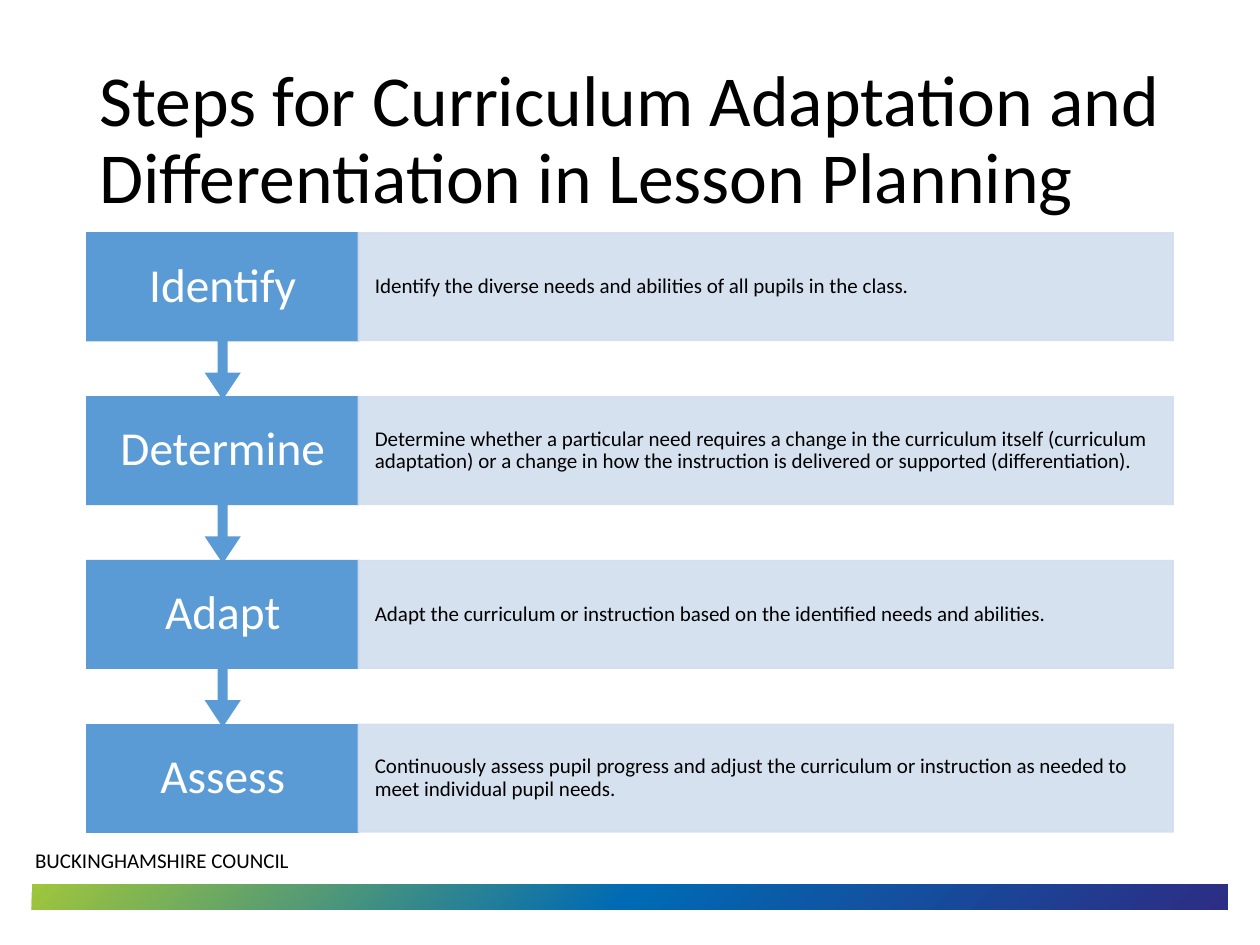
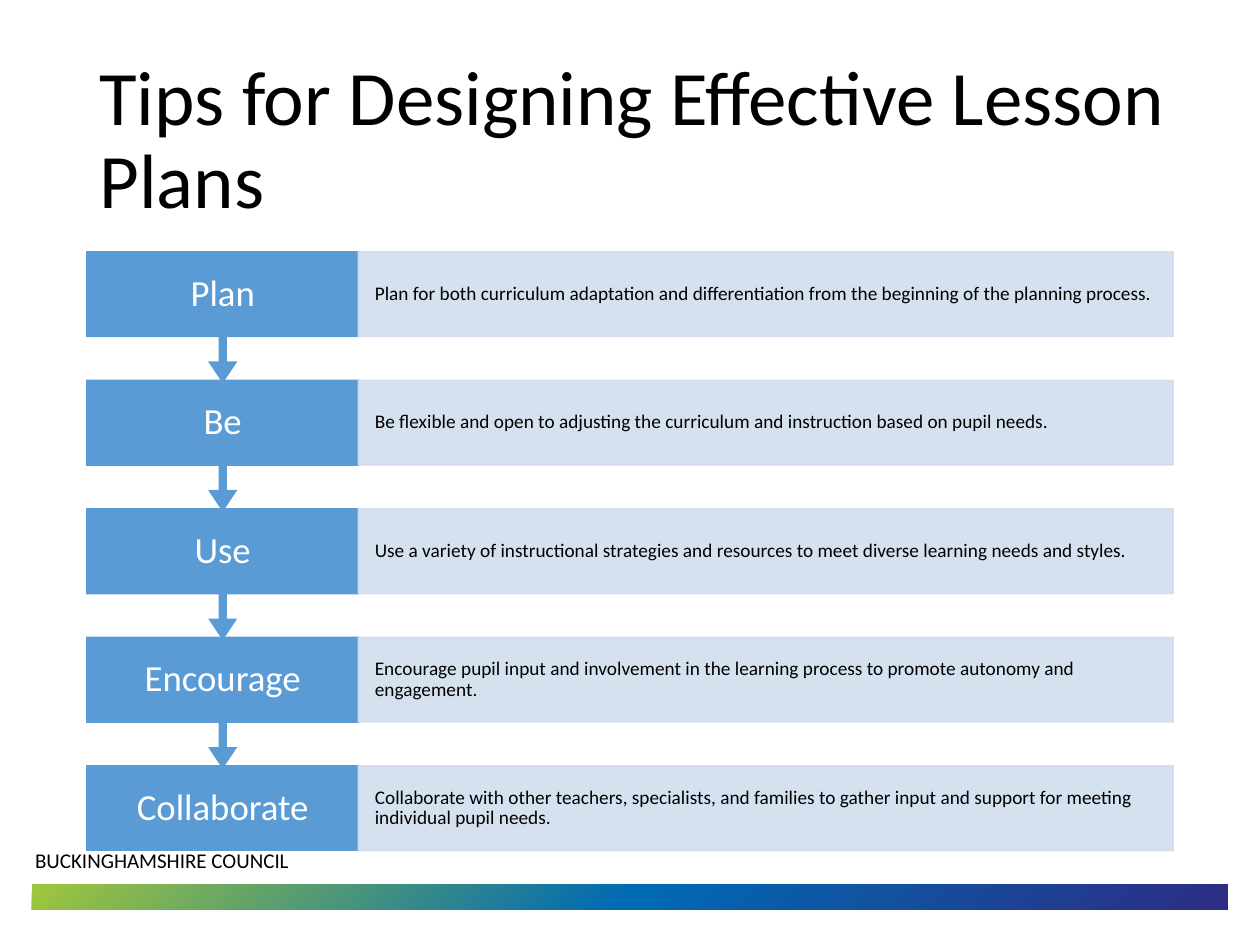
from lxml import etree
from pptx import Presentation
from pptx import oxml, util as u
from pptx.dml.color import RGBColor
from pptx.enum import shapes, text
from pptx.oxml.ns import nsdecls, qn

FONT = "Calibri"
BLACK = RGBColor(0x00, 0x00, 0x00)
WHITE = RGBColor(0xFF, 0xFF, 0xFF)
BLUE = RGBColor(0x5B, 0x9B, 0xD5)
PALE = RGBColor(0xD2, 0xDE, 0xEF)
NAVY = RGBColor(0x2C, 0x2D, 0x84)
MID = RGBColor(0x00, 0x6A, 0xB4)
GREEN = RGBColor(0x9F, 0xC6, 0x3B)

FOOTER = "BUCKINGHAMSHIRE COUNCIL"
SLIDES = [
    dict(
        title="Steps for Curriculum Adaptation and Differentiation in Lesson Planning",
        title_size=41, label_size=27, detail_size=12,
        top=1.85, pitch=1.3, callout=1.31,
        steps=[
            ("Identify", "Identify the diverse needs and abilities of all pupils in the class."),
            ("Determine", "Determine whether a particular need requires a change in the curriculum itself "
             "(curriculum adaptation) or a change in how the instruction is delivered or supported "
             "(differentiation)."),
            ("Adapt", "Adapt the curriculum or instruction based on the identified needs and abilities."),
            ("Assess", "Continuously assess pupil progress and adjust the curriculum or instruction as "
             "needed to meet individual pupil needs."),
        ],
    ),
    dict(
        title="Tips for Designing Effective Lesson Plans",
        title_size=44, label_size=21, detail_size=11,
        top=2, pitch=1.02, callout=1.03,
        steps=[
            ("Plan", "Plan for both curriculum adaptation and differentiation from the beginning of the "
             "planning process."),
            ("Be", "Be flexible and open to adjusting the curriculum and instruction based on pupil needs."),
            ("Use", "Use a variety of instructional strategies and resources to meet diverse learning "
             "needs and styles."),
            ("Encourage", "Encourage pupil input and involvement in the learning process to promote "
             "autonomy and engagement."),
            ("Collaborate", "Collaborate with other teachers, specialists, and families to gather input "
             "and support for meeting individual pupil needs."),
        ],
    ),
]

WIDTH, HEIGHT = 10, 7.5
LEFT = 0.69
CONTENT_W = WIDTH - 2 * LEFT
TITLE_W = CONTENT_W + 0.1
LABEL_W = CONTENT_W / 4
CALLOUT_ADJ = (0.05, 0.1, 0.15, 0.65)
BOX_SHARE = CALLOUT_ADJ[-1]
RECT = shapes.MSO_SHAPE.RECTANGLE
CALLOUT = shapes.MSO_SHAPE.UP_ARROW_CALLOUT
MIDDLE = text.MSO_ANCHOR.MIDDLE
ALIGN = text.PP_ALIGN


def inches(*values):
    return [u.Inches(v) for v in values]


def write(sp, words, size, color=BLACK, align=ALIGN.LEFT, anchor=MIDDLE, spacing=0.9,
          insets=(0.1, 0.05)):
    tf = sp.text_frame
    tf.word_wrap = True
    tf.vertical_anchor = anchor
    tf.margin_left = tf.margin_right = u.Inches(insets[0])
    tf.margin_top = tf.margin_bottom = u.Inches(insets[1])
    tf.text = words
    p = tf.paragraphs[0]
    p.alignment = align
    p.line_spacing = spacing
    p.font.name, p.font.size, p.font.color.rgb = FONT, u.Pt(size), color


def add_box(s, kind, at, color, opacity=None):
    sp = s.shapes.add_shape(kind, *inches(*at))
    sp.shadow.inherit = False
    sp.fill.solid()
    sp.fill.fore_color.rgb = color
    sp.line.color.rgb = color
    sp.line.width = u.Pt(1)
    spPr = sp._element.spPr
    etree.SubElement(spPr.find(qn("a:ln")), qn("a:miter"), lim="800000")
    if opacity:
        for clr in spPr.iter(qn("a:srgbClr")):
            etree.SubElement(clr, qn("a:alpha"), val=str(opacity * 1000))
    return sp


def add_band(s):
    sp = add_box(s, RECT, (0.25, 7.02, 9.49, 0.2), MID)
    sp.line.fill.background()
    stops = "".join(f'<a:gs pos="{pos}000"><a:srgbClr val="{color}"/></a:gs>'
                    for pos, color in ((0, NAVY), (50, MID), (100, GREEN)))
    grad = oxml.parse_xml(
        f'<a:gradFill {nsdecls("a")} rotWithShape="1"><a:gsLst>{stops}</a:gsLst>'
        '<a:path path="circle"><a:fillToRect l="100000" t="100000"/></a:path></a:gradFill>')
    spPr = sp._element.spPr
    spPr.replace(spPr.find(qn("a:solidFill")), grad)
    spPr.find(qn("a:xfrm")).set("flipH", "1")


def add_frame(s, title, size):
    add_band(s)
    write(s.shapes.add_textbox(*inches(0.18, 6.68, 4.81, 0.3)), FOOTER, 12,
          anchor=text.MSO_ANCHOR.TOP, spacing=1.0)
    write(s.shapes.add_textbox(*inches(LEFT, 0.4, TITLE_W, 1.45)), title, size)


def add_step(s, label, detail, top, last, d):
    box_h = d["callout"] * BOX_SHARE
    label_at = (LEFT, top, LABEL_W, box_h)
    if last:
        add_box(s, RECT, label_at, BLUE)
    else:
        sp = add_box(s, CALLOUT, (LEFT, top, LABEL_W, d["callout"]), BLUE)
        sp.rotation = 180
        for i, adj in enumerate(CALLOUT_ADJ):
            sp.adjustments[i] = adj
    write(s.shapes.add_textbox(*inches(*label_at)), label, d["label_size"], WHITE,
          ALIGN.CENTER, insets=(0.15, 0.16))
    bar = add_box(s, RECT, (LEFT + LABEL_W, top, CONTENT_W - LABEL_W, box_h), PALE, 90)
    write(bar, detail, d["detail_size"], insets=(0.13, 0.15))


def main():
    prs = Presentation()
    prs.slide_width, prs.slide_height = inches(WIDTH, HEIGHT)
    for d in SLIDES:
        s = prs.slides.add_slide(prs.slide_layouts[6])
        add_frame(s, d["title"], d["title_size"])
        final = len(d["steps"]) - 1
        for i, (label, detail) in reversed(list(enumerate(d["steps"]))):
            add_step(s, label, detail, d["top"] + i * d["pitch"], i == final, d)
    prs.save("out.pptx")


if __name__ == "__main__":
    main()
